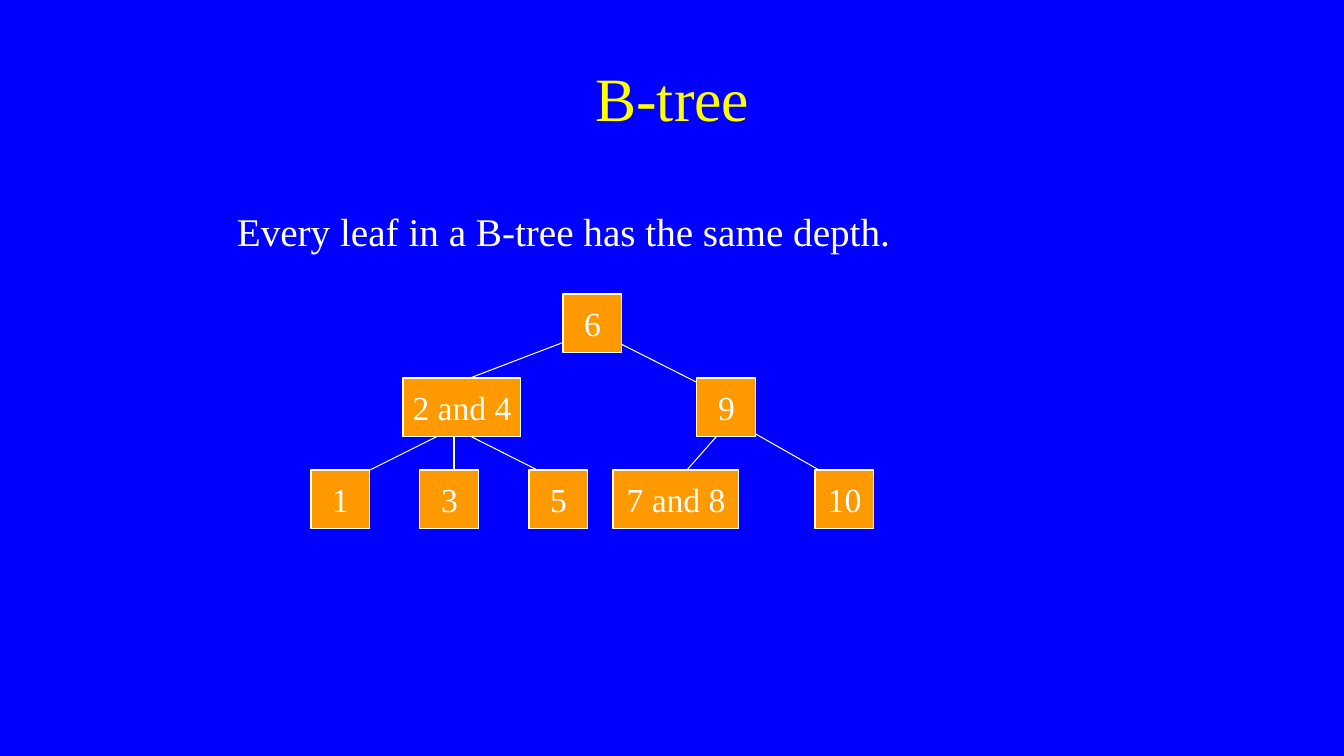
from typing import NamedTuple

from lxml import etree
from pptx import Presentation
from pptx import util as u
from pptx.dml.color import RGBColor
from pptx.enum import shapes, text
from pptx.oxml.ns import qn

SCALE = 914400 / 100.8
FONT = "Times New Roman"
COLORS = {"back": "0000FF", "title": "FFFF00", "ink": "FFFFFF", "node": "FF9900"}
NODE_SIZE = 59
ROOT_TOP, BRANCH_TOP, LEAF_TOP = 294, 378, 470


class Node(NamedTuple):
    label: str
    left: int
    top: int
    width: int = NODE_SIZE


class Edge(NamedTuple):
    start: tuple[int, int]
    end: tuple[int, int]


NODES = [
    Node("6", 563, ROOT_TOP),
    Node("2 and 4", 403, BRANCH_TOP, 118),
    Node("9", 697, BRANCH_TOP),
    *(Node(key, 311 + 109 * index, LEAF_TOP) for index, key in enumerate("135")),
    Node("7 and 8", 613, LEAF_TOP, 126),
    Node("10", 815, LEAF_TOP),
]

EDGES = [
    Edge((580, 336), (470, 378)),
    Edge((605, 336), (722, 395)),
    Edge((454, 428), (336, 487)),
    Edge((454, 420), (454, 487)),
    Edge((454, 428), (571, 487)),
    Edge((731, 420), (672, 487)),
    Edge((731, 420), (849, 487)),
]


def px(length: int) -> u.Emu:
    return u.Emu(round(length * SCALE))


def color(name: str) -> RGBColor:
    return RGBColor.from_string(COLORS[name])


def write(box, words: str, size: int, ink: str, align, anchor, wrap: bool):
    frame = box.text_frame
    frame.text = words
    frame.word_wrap = wrap
    frame.vertical_anchor = anchor
    para = frame.paragraphs[0]
    para.alignment = align
    span = para.runs[0]
    span.font.name = FONT
    span.font.size = u.Pt(size)
    span.font.color.rgb = color(ink)
    return para


def style_line(line) -> None:
    line.color.rgb = color("ink")
    line.width = u.Pt(0.75)


def draw_edge(page, edge: Edge) -> None:
    connector = page.shapes.add_connector(
        shapes.MSO_CONNECTOR.STRAIGHT, *map(px, edge.start + edge.end)
    )
    style_line(connector.line)
    properties = connector.element.find(qn("p:spPr"))
    etree.SubElement(properties, qn("a:effectLst"))


def draw_node(page, node: Node) -> None:
    box = page.shapes.add_shape(
        shapes.MSO_SHAPE.RECTANGLE,
        *map(px, (node.left, node.top, node.width, NODE_SIZE)),
    )
    box.shadow.inherit = False
    box.fill.solid()
    box.fill.fore_color.rgb = color("node")
    style_line(box.line)
    write(box, node.label, 24, "ink", text.PP_ALIGN.CENTER, text.MSO_ANCHOR.MIDDLE, False)


deck = Presentation()
deck.slide_width, deck.slide_height = px(1344), px(756)
page = deck.slides.add_slide(deck.slide_layouts[6])
page.background.fill.solid()
page.background.fill.fore_color.rgb = color("back")

title = page.shapes.add_textbox(*map(px, (244, 34, 857, 126)))
write(title, "B-tree", 44, "title", text.PP_ALIGN.CENTER, text.MSO_ANCHOR.MIDDLE, True)

statement = page.shapes.add_textbox(*map(px, (227, 208, 865, 52)))
para = write(
    statement, "Every leaf in a B-tree has the same depth.", 28, "ink",
    text.PP_ALIGN.LEFT, text.MSO_ANCHOR.TOP, True,
)
para.line_spacing = 0.9
para.space_before = u.Pt(3)
indent = para._p.get_or_add_pPr()
indent.set("marL", str(u.Inches(0.5)))
indent.set("indent", str(-u.Inches(0.5)))

for edge in EDGES:
    draw_edge(page, edge)
for node in NODES:
    draw_node(page, node)

deck.save("out.pptx")
